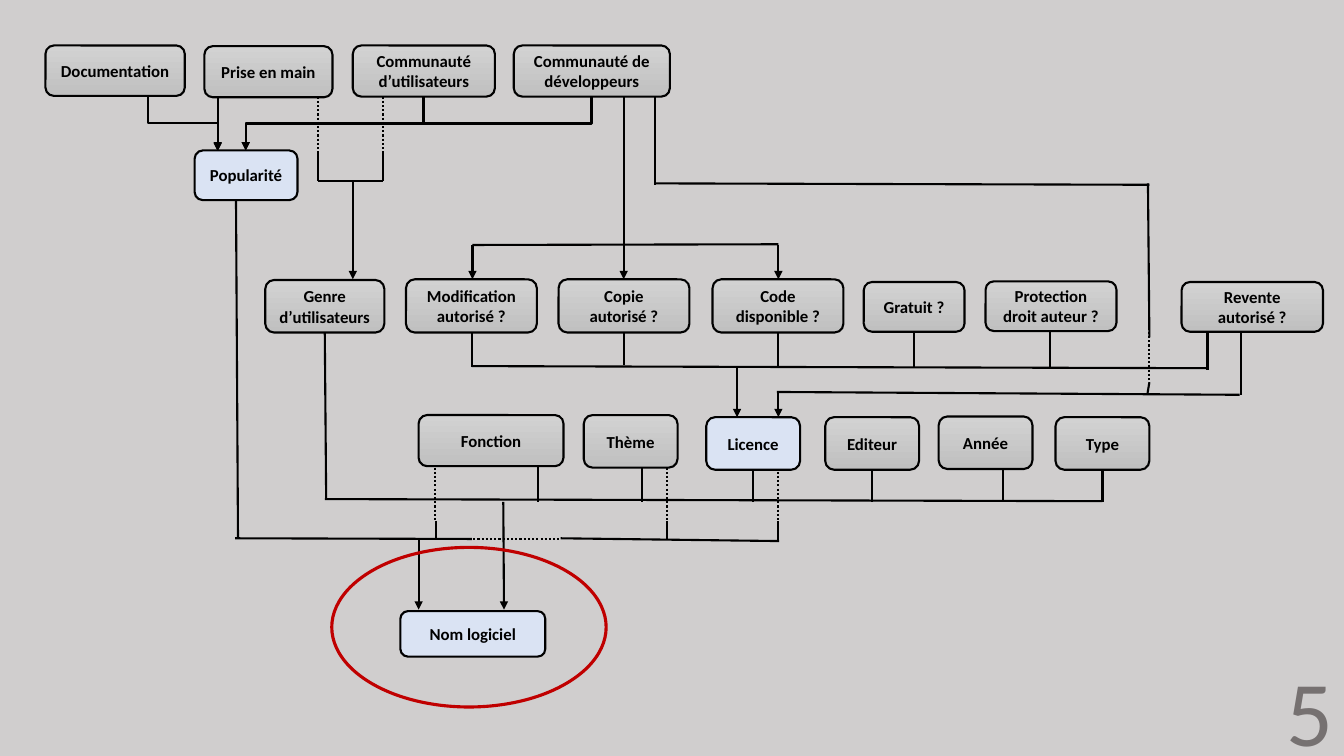
from dataclasses import dataclass

from pptx import Presentation
from pptx.dml.color import RGBColor
from pptx.enum.dml import MSO_LINE
from pptx.enum.shapes import MSO_CONNECTOR, MSO_SHAPE
from pptx.enum.text import MSO_ANCHOR, PP_ALIGN
from pptx.oxml.ns import qn
from pptx.util import Pt

STRAIGHT, ELBOW = MSO_CONNECTOR.STRAIGHT, MSO_CONNECTOR.ELBOW
ROUNDED, OVAL = MSO_SHAPE.ROUNDED_RECTANGLE, MSO_SHAPE.OVAL
DOTTED = MSO_LINE.ROUND_DOT
CENTER, LEFT = PP_ALIGN.CENTER, PP_ALIGN.LEFT
MIDDLE, TOP = MSO_ANCHOR.MIDDLE, MSO_ANCHOR.TOP


@dataclass(frozen=True)
class Theme:
    font: str = "Calibri"
    background: str = "D0CECE"
    ink: str = "000000"
    grey_top: str = "D2D2D2"
    grey_bottom: str = "C0C0C0"
    blue: str = "DAE3F3"
    highlight: str = "C00000"
    page_number: str = "767171"
    label_size: float = 12
    page_size: float = 66
    line_width: float = 1.5
    highlight_width: float = 2.25


@dataclass(frozen=True)
class Box:
    label: str
    left: float
    top: float
    width: float
    height: float
    derived: bool = False


@dataclass(frozen=True)
class Wire:
    x1: float
    y1: float
    x2: float
    y2: float
    dotted: bool = False
    arrow: bool = False


@dataclass(frozen=True)
class Elbow:
    """Runs down, across and down again; bend is the share of the height at the turn."""
    x1: float
    y1: float
    x2: float
    y2: float
    bend: float = 0.5


THEME = Theme()


def drop(x: float, y1: float, y2: float, dotted: bool = False, arrow: bool = False) -> Wire:
    return Wire(x, y1, x, y2, dotted, arrow)


BOXES = [
    # Community criteria
    Box("Documentation", 32.5, 32.5, 99.5, 36),
    Box("Prise en main", 146, 33, 91.5, 36.5),
    Box("Communauté d’utilisateurs", 252, 32.5, 101.5, 36.5),
    Box("Communauté de développeurs", 367, 32.5, 111.5, 36.5),
    Box("Popularité", 139, 107.5, 73.5, 35.5, derived=True),
    # Rights and audience
    Box("Genre d’utilisateurs", 189.5, 200, 85, 37.5),
    *[Box(label, left, 199.5, 93.5, 38) for label, left in
      (("Modification autorisé ?", 290), ("Copie\nautorisé ?", 399), ("Code disponible ?", 509))],
    Box("Gratuit ?", 617, 201.5, 72, 35.5),
    Box("Protection droit auteur ?", 704, 201, 93.5, 35.5),
    Box("Revente autorisé ?", 844, 201.5, 101, 35.5),
    # Software properties
    Box("Fonction", 299, 296.5, 103.5, 36.5),
    Box("Thème", 417, 296.5, 67, 37.5),
    Box("Licence", 504.5, 298, 67, 37.5, derived=True),
    Box("Editeur", 589.5, 298, 67, 37.5),
    Box("Année", 670.5, 297.5, 67, 37.5),
    Box("Type", 754, 298, 67, 37.5),
    # Result
    Box("Nom logiciel", 286, 436.5, 103.5, 32.5, derived=True),
]

ELBOWS = [  # into Popularité
    Elbow(422.5, 69, 175.5, 107.5),
    Elbow(302.5, 69, 175.5, 107.5),
    Elbow(106, 51, 155.5, 108, bend=0.65),
]

WIRES = [
    drop(155.5, 68.5, 107.5, arrow=True),
    # Into Genre d’utilisateurs
    *[drop(x, 69, 108, dotted=True) for x in (227, 273.5)],
    *[drop(x, 108, 129.5) for x in (227, 273.5)],
    Wire(227, 129.5, 273.5, 129.5),
    drop(252, 129.5, 199.5, arrow=True),
    # Developers to Modification, Copie and Code
    drop(445.5, 69, 179),
    Wire(337.5, 175, 556, 174.5),
    *[drop(x, 175, 199.5, arrow=True) for x in (337.5, 445.5, 556)],
    # Rights gathered into Licence
    Wire(337, 261.5, 862, 263),
    *[drop(x, top, bottom) for x, top, bottom in
      ((337, 237.5, 262), (445.5, 237.5, 260.5), (556, 237.5, 261.5),
       (653, 237, 263), (750, 235.5, 263.5), (862.5, 235.5, 264))],
    drop(526.5, 262, 298, arrow=True),
    # Revente and developers into Licence
    drop(886.5, 234, 282),
    Wire(885.5, 282, 555, 280),
    drop(556, 279.5, 298, arrow=True),
    drop(468, 65, 132),
    Wire(468.5, 131, 821, 132),
    Wire(820, 131, 821, 241),
    drop(821, 234, 273, dotted=True),
    Wire(821, 273, 819.5, 282),
    # Upper bus into Nom logiciel
    Wire(232, 356.5, 787.5, 358),
    Wire(233, 356.5, 232, 237.5),
    *[drop(x, 333.5, 358.5) for x in (384.5, 458.5, 538, 623, 716.5, 787.5)],
    Wire(359.5, 358.5, 360, 435.5, arrow=True),
    # Lower bus into Nom logiciel
    Wire(170, 383.5, 168.5, 129.5),
    Wire(168, 384.5, 337, 385),
    Wire(332, 385, 399, 385, dotted=True),
    Wire(400.5, 384.5, 556.5, 386.5),
    *[drop(x, 334, 373, dotted=True) for x in (311, 476.5, 556)],
    *[drop(x, 372, 385.5) for x in (311.5, 476.5, 556)],
    drop(299, 385, 435.5, arrow=True),
]


def rgb(value: str) -> RGBColor:
    return RGBColor.from_string(value)


def write(frame, text: str, *, size: float, color: str, bold: bool = False,
          align=LEFT, anchor=TOP) -> None:
    frame.word_wrap = True
    frame.vertical_anchor = anchor
    for index, line in enumerate(text.split("\n")):
        paragraph = frame.add_paragraph() if index else frame.paragraphs[0]
        paragraph.alignment = align
        run = paragraph.add_run()
        run.text = line
        run.font.name, run.font.size, run.font.bold = THEME.font, Pt(size), bold
        run.font.color.rgb = rgb(color)


def set_line(line, color: str, width: float) -> None:
    line.color.rgb = rgb(color)
    line.width = Pt(width)


def finish_connector(connector, dotted: bool, arrow: bool) -> None:
    set_line(connector.line, THEME.ink, THEME.line_width)
    if dotted:
        connector.line.dash_style = DOTTED
    properties = connector._element.spPr
    if arrow:
        outline = properties.find(qn("a:ln"))
        outline.append(outline.makeelement(qn("a:tailEnd"), {"type": "triangle"}))
    properties.append(properties.makeelement(qn("a:effectLst"), {}))


def draw_wire(shapes, wire: Wire) -> None:
    connector = shapes.add_connector(
        STRAIGHT, Pt(wire.x1), Pt(wire.y1), Pt(wire.x2), Pt(wire.y2))
    finish_connector(connector, wire.dotted, wire.arrow)


def draw_elbow(shapes, elbow: Elbow) -> None:
    center_x, center_y = (elbow.x1 + elbow.x2) / 2, (elbow.y1 + elbow.y2) / 2
    rightward = elbow.x2 > elbow.x1
    # The preset runs sideways, so its frame is turned by a quarter
    half_run = (elbow.y2 - elbow.y1) / 2 * (-1 if rightward else 1)
    half_rise = abs(elbow.x2 - elbow.x1) / 2
    connector = shapes.add_connector(
        ELBOW, Pt(center_x - half_run), Pt(center_y - half_rise),
        Pt(center_x + half_run), Pt(center_y + half_rise))
    properties = connector._element.spPr
    properties.find(qn("a:xfrm")).set("rot", str((270 if rightward else 90) * 60000))
    adjustments = properties.find(qn("a:prstGeom")).get_or_add_avLst()
    adjustments.append(adjustments.makeelement(
        qn("a:gd"), {"name": "adj1", "fmla": f"val {round(elbow.bend * 100000)}"}))
    finish_connector(connector, dotted=False, arrow=True)


def draw_box(shapes, box: Box) -> None:
    node = shapes.add_shape(ROUNDED, Pt(box.left), Pt(box.top), Pt(box.width), Pt(box.height))
    node.shadow.inherit = False
    if box.derived:
        node.fill.solid()
        node.fill.fore_color.rgb = rgb(THEME.blue)
    else:
        node.fill.gradient()
        node.fill.gradient_angle = 270
        for stop, color in zip(node.fill.gradient_stops, (THEME.grey_top, THEME.grey_bottom)):
            stop.color.rgb = rgb(color)
    set_line(node.line, THEME.ink, THEME.line_width)
    write(node.text_frame, box.label, size=THEME.label_size, color=THEME.ink,
          bold=True, align=CENTER, anchor=MIDDLE)


def main() -> None:
    deck = Presentation()
    deck.slide_width, deck.slide_height = Pt(960), Pt(540)
    slide = deck.slides.add_slide(deck.slide_layouts[6])
    slide.background.fill.solid()
    slide.background.fill.fore_color.rgb = rgb(THEME.background)

    # Links lie under the boxes
    for elbow in ELBOWS:
        draw_elbow(slide.shapes, elbow)
    for wire in WIRES:
        draw_wire(slide.shapes, wire)
    for box in BOXES:
        draw_box(slide.shapes, box)

    # Page number
    page = slide.shapes.add_textbox(Pt(911.5), Pt(463.5), Pt(48.5), Pt(76.5))
    write(page.text_frame, "5", size=THEME.page_size, color=THEME.page_number)

    # Ring around the result
    ring = slide.shapes.add_shape(OVAL, Pt(237), Pt(391), Pt(196), Pt(114))
    ring.shadow.inherit = False
    ring.fill.background()
    set_line(ring.line, THEME.highlight, THEME.highlight_width)

    deck.save("out.pptx")


if __name__ == "__main__":
    main()
